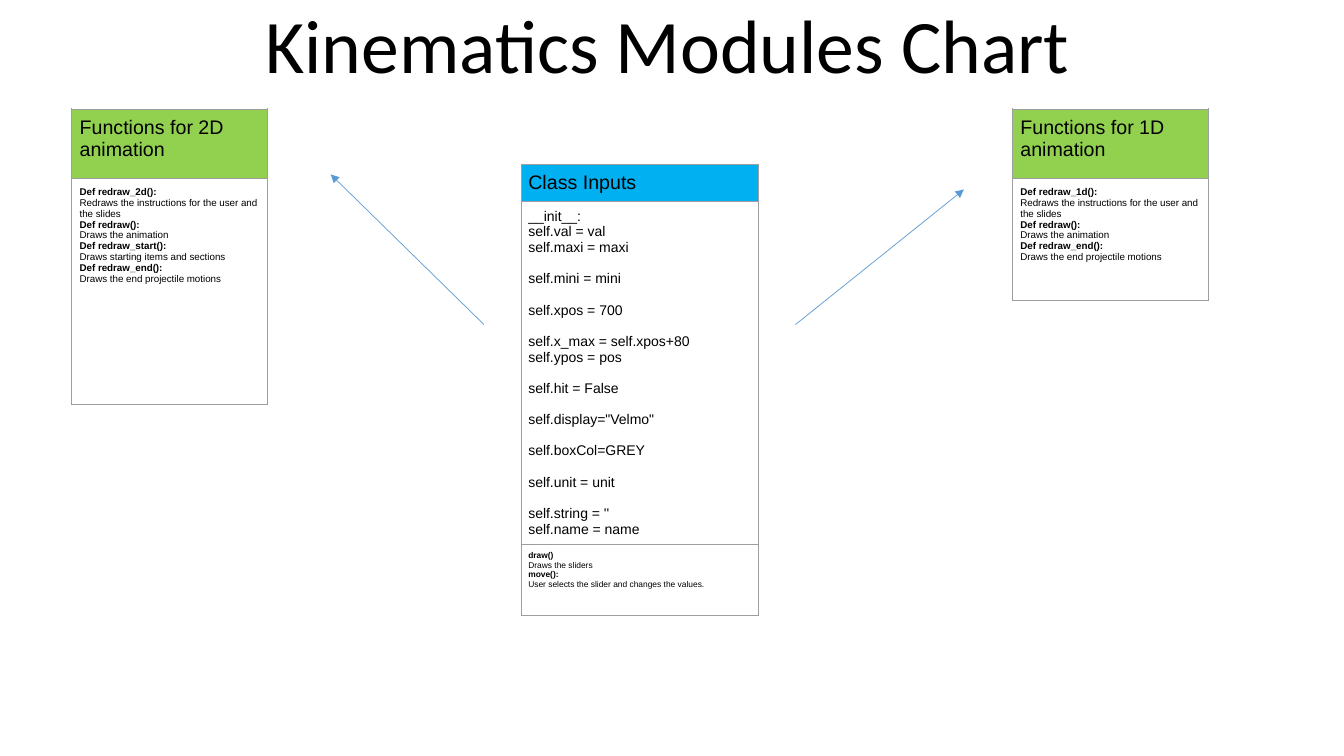
from dataclasses import dataclass

from lxml import etree
from pptx import Presentation
from pptx import util as u
from pptx.dml.color import RGBColor
from pptx.enum import shapes, text
from pptx.oxml import ns

BLACK, GREEN, CYAN, GREY, BLUE = "000000", "92D050", "00B0F0", "9E9E9E", "5B9BD5"


@dataclass
class Line:
    text: str
    bold: bool = False
    gap: float = 0


@dataclass
class Block:
    lines: list[Line]
    size: float
    height: float
    fill: str | None = None


@dataclass
class Card:
    left: float
    top: float
    width: float
    inset: float
    blocks: list[Block]


@dataclass
class Arrow:
    start: tuple[float, float]
    end: tuple[float, float]


def color(code: str) -> RGBColor:
    return RGBColor.from_string(code)


def write(frame, lines: list[Line], *, size: float, font: str = "Arial",
          align=text.PP_ALIGN.LEFT) -> None:
    for i, line in enumerate(lines):
        para = frame.paragraphs[0] if i == 0 else frame.add_paragraph()
        para.alignment = align
        para.space_after = u.Pt(line.gap)
        run = para.add_run()
        run.text = line.text
        run.font.name, run.font.size, run.font.bold = font, u.Pt(size), line.bold
        run.font.color.rgb = color(BLACK)


def edge(cell) -> None:
    """Give all four sides of the cell a thin grey border."""
    props = cell._tc.get_or_add_tcPr()
    for i, side in enumerate(("lnL", "lnR", "lnT", "lnB")):
        line = etree.Element(ns.qn(f"a:{side}"), w=str(u.Pt(0.6)))
        fill = etree.SubElement(line, ns.qn("a:solidFill"))
        etree.SubElement(fill, ns.qn("a:srgbClr"), val=GREY)
        props.insert(i, line)


def draw_card(slide, card: Card) -> None:
    total = sum(block.height for block in card.blocks)
    table = slide.shapes.add_table(
        len(card.blocks), 1, u.Inches(card.left), u.Inches(card.top),
        u.Inches(card.width), u.Inches(total)).table
    table.first_row = table.horz_banding = False
    for row, block in zip(table.rows, card.blocks):
        row.height = u.Inches(block.height)
        cell = row.cells[0]
        cell.margin_left = cell.margin_right = u.Inches(card.inset)
        cell.margin_top = cell.margin_bottom = u.Inches(card.inset)
        if block.fill:
            cell.fill.solid()
            cell.fill.fore_color.rgb = color(block.fill)
        else:
            cell.fill.background()
        edge(cell)
        write(cell.text_frame, block.lines, size=block.size)


def draw_arrow(slide, arrow: Arrow) -> None:
    link = slide.shapes.add_connector(
        shapes.MSO_CONNECTOR.STRAIGHT,
        *(u.Inches(n) for n in arrow.start + arrow.end))
    link.line.color.rgb = color(BLUE)
    link.line.width = u.Pt(0.5)
    etree.SubElement(link.line._get_or_add_ln(), ns.qn("a:tailEnd"), type="triangle")
    etree.SubElement(link._element.spPr, ns.qn("a:effectLst"))


def methods(*pairs: tuple[str, str]) -> list[Line]:
    """Set each bold signature above its plain description."""
    return [Line(item, bold=i == 0) for pair in pairs for i, item in enumerate(pair)]


def head(title: str, height: float, fill: str) -> Block:
    return Block([Line(title)], 14, height, fill)


REDRAW = ("Def redraw():", "Draws the animation")
FINISH = ("Def redraw_end():", "Draws the end projectile motions")
INTRO = "Redraws the instructions for the user and the slides"
SKIP = 11.2

FIELDS = [
    Line("__init__:"),
    Line("self.val = val"),
    Line("self.maxi = maxi", gap=SKIP),
    Line("self.mini = mini", gap=SKIP),
    Line("self.xpos = 700", gap=SKIP),
    Line("self.x_max = self.xpos+80"),
    Line("self.ypos = pos", gap=SKIP),
    Line("self.hit = False", gap=SKIP),
    Line('self.display="Velmo"', gap=SKIP),
    Line("self.boxCol=GREY", gap=SKIP),
    Line("self.unit = unit", gap=SKIP),
    Line("self.string = ''"),
    Line("self.name = name"),
]

CARDS = [
    Card(0.71, 1.08, 1.94, 0.08, [
        head("Functions for 2D animation", 0.69, GREEN),
        Block(methods(("Def redraw_2d():", INTRO), REDRAW,
                      ("Def redraw_start():", "Draws starting items and sections"),
                      FINISH), 7, 2.24)]),
    Card(10.04, 1.08, 1.94, 0.08, [
        head("Functions for 1D animation", 0.69, GREEN),
        Block(methods(("Def redraw_1d():", INTRO), REDRAW, FINISH), 7, 1.21)]),
    Card(5.17, 1.63, 2.35, 0.07, [
        head("Class Inputs", 0.37, CYAN),
        Block(FIELDS, 10, 3.4),
        Block(methods(("draw()", "Draws the sliders"),
                      ("move():", "User selects the slider and changes the values.")),
              6, 0.7)]),
]

ARROWS = [Arrow((7.89, 3.22), (9.56, 1.88)), Arrow((4.8, 3.22), (3.28, 1.73))]


def main() -> None:
    deck = Presentation()
    deck.slide_width, deck.slide_height = u.Inches(13.33), u.Inches(7.5)
    slide = deck.slides.add_slide(deck.slide_layouts[6])
    for card in CARDS:
        draw_card(slide, card)
    title = slide.shapes.add_textbox(
        u.Inches(2.49), u.Inches(-0.07), u.Inches(8.26), u.Inches(1.01)).text_frame
    title.word_wrap = False
    title.auto_size = text.MSO_AUTO_SIZE.SHAPE_TO_FIT_TEXT
    write(title, [Line("Kinematics Modules Chart")], size=54, font="Calibri",
          align=text.PP_ALIGN.CENTER)
    for arrow in ARROWS:
        draw_arrow(slide, arrow)
    deck.save("out.pptx")


if __name__ == "__main__":
    main()
